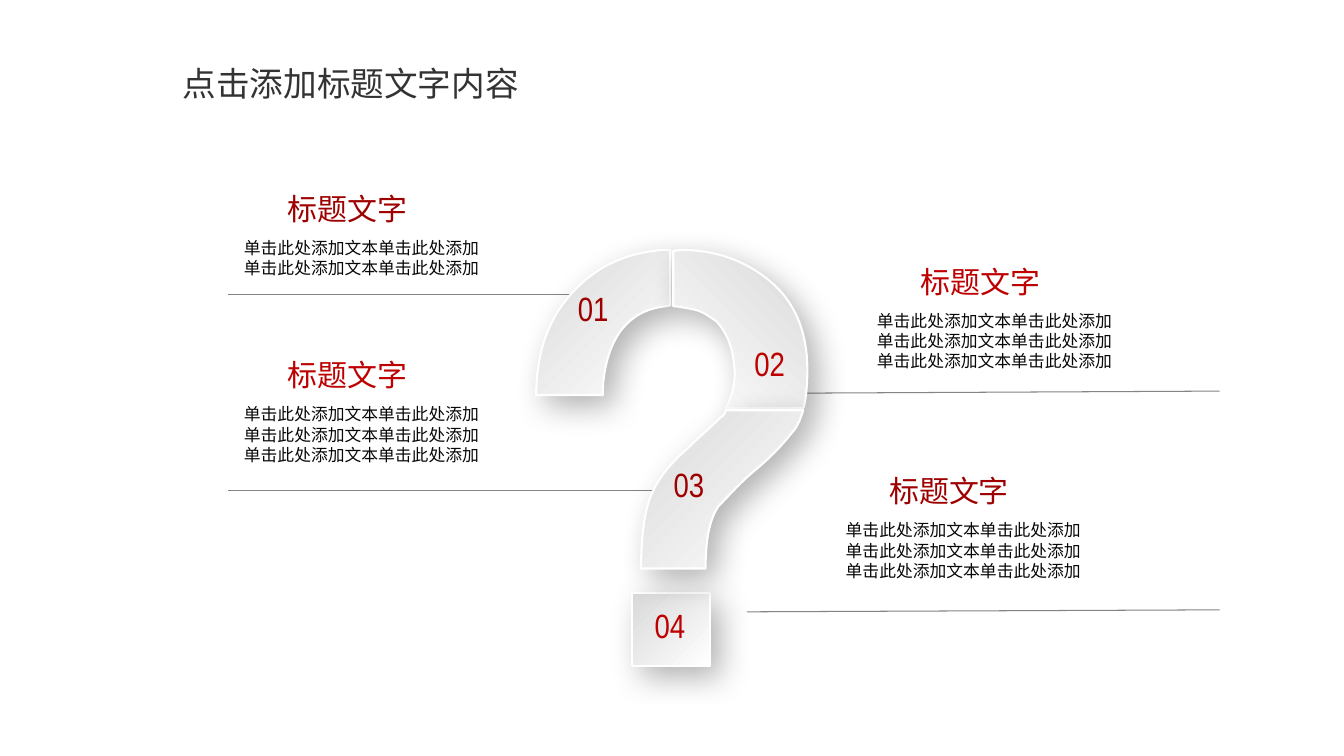
import pptx
import pptx.util
import pptx.dml.color
import pptx.enum.shapes
import pptx.enum.text
import pptx.oxml
import pptx.oxml.ns
from dataclasses import dataclass

PX = 9144  # EMU per px, 100 px to the inch
ALIGN = pptx.enum.text.PP_ALIGN
ANCHOR = pptx.enum.text.MSO_ANCHOR
SHAPE = pptx.enum.shapes.MSO_SHAPE
NS = pptx.oxml.ns.nsdecls("a")
qn = pptx.oxml.ns.qn


@dataclass(frozen=True)
class Theme:
    cjk: str = "Noto Sans CJK SC"
    narrow: str = "Arial Narrow"
    title: str = "333333"
    body: str = "080808"
    dark_red: str = "9E0000"
    red: str = "BD0000"
    rule: str = "848484"
    grey: str = "D9D9D9"
    white: str = "FFFFFF"
    title_pt: float = 24
    heading_pt: float = 21.4
    body_pt: float = 12
    leading_pt: float = 14.4
    number_pt: float = 24


T = Theme()

# Outlines within the question mark: a start, then lines (x, y) or
# curves (control 1, control 2, end)
LEFT_ARC = [(133, 0), (133, 55), (128, 56), (109, 58, 95, 66, 84, 80),
            (73, 95, 66, 118, 66, 144), (0, 144),
            (0, 100, 13, 66, 38, 40), (61, 16, 89, 3, 125, 0)]
RIGHT_ARC = [(144, 0), (179, 0, 208, 11, 232, 31),
             (256, 51, 269, 80, 269, 119), (269, 133, 268, 144, 266, 154),
             (265, 157), (188, 157), (189, 155),
             (194, 146, 197, 133, 197, 122), (196, 106, 194, 88, 179, 71),
             (163, 60, 164, 60, 139, 56), (136, 56), (136, 1)]
STEM = [(188, 159), (265, 159), (261, 170), (259, 174, 257, 178, 254, 181),
        (243, 195, 232, 206, 219, 217), (203, 230, 192, 243, 181, 254),
        (172, 267, 168, 287, 168, 316), (104, 316),
        (104, 281, 108, 256, 115, 241), (122, 225, 135, 210, 150, 197),
        (161, 186, 172, 177, 183, 166), (185, 165, 186, 164, 187, 162)]


def rgb(color):
    return pptx.dml.color.RGBColor.from_string(color)


def px(*lengths):
    return [round(v * PX) for v in lengths]


def set_text(tf, text, size, font, color, align=ALIGN.LEFT, leading=None):
    tf.text = text
    for p in tf.paragraphs:
        p.alignment = align
        if leading:
            p.line_spacing = pptx.util.Pt(leading)
        for r in p.runs:
            r.font.size = pptx.util.Pt(size)
            r.font.name = font
            r.font.color.rgb = rgb(color)
            r.font._element.append(pptx.oxml.parse_xml(
                f'<a:ea {NS} typeface="{font}"/>'))


def add_text(s, box, text, *style, insets=(10, 5, 10, 5), wrap=True,
             anchor=ANCHOR.TOP, **extra):
    tf = s.shapes.add_textbox(*px(*box)).text_frame
    tf.word_wrap = wrap
    tf.vertical_anchor = anchor
    (tf.margin_left, tf.margin_top,
     tf.margin_right, tf.margin_bottom) = px(*insets)
    set_text(tf, text, *style, **extra)


def add_title(s, x, y, w, h, text):
    # Translucent plate, turned so its rounded end faces right
    long, short = 435, 57
    plate = s.shapes.add_shape(
        SHAPE.ROUND_2_SAME_RECTANGLE,
        *px(x + 183, y - 190, short, long))
    plate.rotation = 90
    plate.shadow.inherit = False
    plate.fill.solid()
    plate.fill.fore_color.rgb = rgb(T.white)
    color = plate._element.spPr.find(qn("a:solidFill"))[0]
    color.append(pptx.oxml.parse_xml(f'<a:alpha {NS} val="68000"/>'))
    plate.line.fill.background()
    # Title text, in front of the plate
    sp = s.shapes.title
    s.shapes._spTree.append(sp._element)
    sp.left, sp.top, sp.width, sp.height = px(x, y, w, h)
    sp.text_frame.vertical_anchor = ANCHOR.MIDDLE
    set_text(sp.text_frame, text, T.title_pt, T.cjk, T.title, ALIGN.CENTER)


def add_callout(s, x, y, lines, color, start, end):
    """Heading, body and leader line, all relative to (x, y)."""
    line = s.shapes.add_connector(
        pptx.enum.shapes.MSO_CONNECTOR.STRAIGHT,
        *px(x + start[0], y + start[1], x + end[0], y + end[1]))
    line.line.color.rgb = rgb(T.rule)
    line.line.width = pptx.util.Pt(0.75)
    line._element.spPr.append(pptx.oxml.parse_xml(f"<a:effectLst {NS}/>"))
    add_text(s, (x, y + 47, 258, 5 + 20 * lines),
             "\n".join(["单击此处添加文本单击此处添加"] * lines),
             T.body_pt, T.cjk, T.body, insets=(0, 0, 10, 5),
             leading=T.leading_pt)
    add_text(s, (x + 43, y - 1, 119, 38), "标题文字", T.heading_pt, T.cjk,
             color, ALIGN.CENTER, insets=(0, 0, 0, 0), wrap=False,
             anchor=ANCHOR.MIDDLE)


def add_outline(s, x, y, outline):
    """Freeform whose six-number segments become cubic curves."""
    points = [px(x + seg[i], y + seg[i + 1])
              for seg in outline for i in range(0, len(seg), 2)]
    fb = s.shapes.build_freeform(*points[0], scale=1.0)
    fb.add_line_segments(points[1:], close=True)
    sp = fb.convert_to_shape()
    lines = iter(list(sp._element.iter(qn("a:lnTo"))))
    for seg in outline[1:]:
        first = next(lines)
        if len(seg) == 6:
            curve = pptx.oxml.parse_xml(f"<a:cubicBezTo {NS}/>")
            first.addprevious(curve)
            for ln in (first, next(lines), next(lines)):
                curve.append(ln[0])
                ln.getparent().remove(ln)
    return sp


def style_piece(sp, angle):
    """Grey-to-white gradient, white edge and soft shadow."""
    sp.fill.gradient()
    sp.fill.gradient_angle = 360 - angle
    for stop, color in zip(sp.fill.gradient_stops, (T.grey, T.white)):
        stop.color.rgb = rgb(color)
    sp.line.color.rgb = rgb(T.white)
    sp.line.width = pptx.util.Pt(1.5)
    sp._element.spPr.append(pptx.oxml.parse_xml(
        f'<a:effectLst {NS}><a:outerShdw blurRad="{23 * 12700}" '
        f'dist="{10 * 12700}" dir="2700000" algn="tl" rotWithShape="0">'
        '<a:srgbClr val="000000"><a:alpha val="30000"/></a:srgbClr>'
        '</a:outerShdw></a:effectLst>'))


def add_question_mark(s, x, y):
    # Dot
    dot = s.shapes.add_shape(SHAPE.RECTANGLE, *px(x + 95, y + 340, 77, 73))
    style_piece(dot, 45)
    # Curved pieces
    for outline, angle in ((LEFT_ARC, 45), (RIGHT_ARC, 135), (STEM, 45)):
        style_piece(add_outline(s, x, y, outline), angle)
    # Numbers
    spots = ((19, 33), (194, 87), (114, 207), (95, 347))
    for i, (dx, dy) in enumerate(spots):
        add_text(s, (x + dx, y + dy, 75, 50), f"{i + 1:02}", T.number_pt,
                 T.narrow, (T.dark_red, T.red)[i % 2], ALIGN.CENTER)


def main():
    prs = pptx.Presentation()
    prs.slide_width, prs.slide_height = pptx.util.Emu(12192000), px(750)[0]
    s = prs.slides.add_slide(prs.slide_layouts[5])
    # Callouts on the left, then on the right
    add_callout(s, 242, 189, 2, T.dark_red, (365, 103), (-16, 103))
    add_callout(s, 242, 354, 3, T.red, (412, 133), (-16, 133))
    add_callout(s, 870, 261, 3, T.red, (-72, 129), (340, 127))
    add_callout(s, 839, 469, 3, T.dark_red, (-98, 138), (371, 136))
    add_question_mark(s, 532, 248)
    add_title(s, 102, 56, 492, 53, "点击添加标题文字内容")
    prs.save("out.pptx")


if __name__ == "__main__":
    main()
